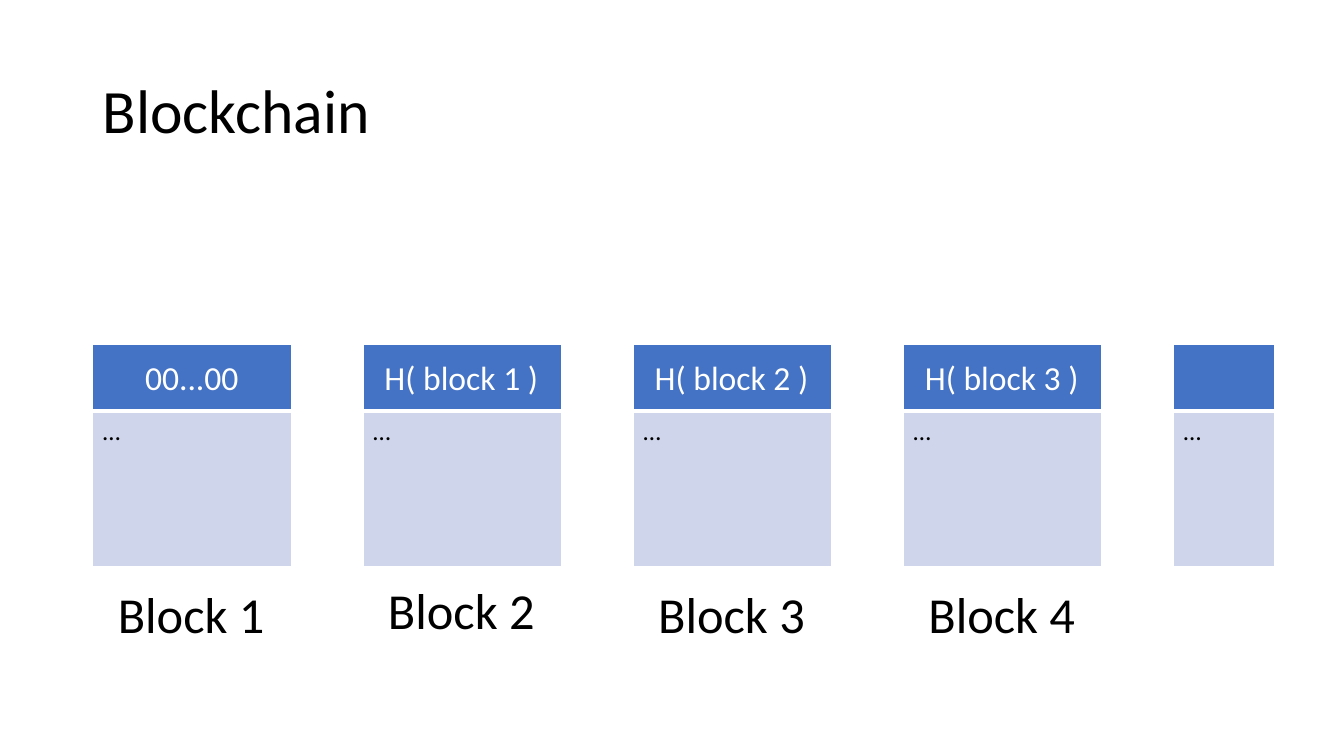
import dataclasses

import pptx
import pptx.dml.color
import pptx.enum.text
import pptx.oxml
import pptx.oxml.ns
import pptx.util

WIDE, HIGH = 13.33, 7.5
LEFT, STEP = 0.92, 2.68      # first column and column pitch
TOP, HEAD, BODY = 3.42, 0.66, 1.54
FULL, PART = 1.97, 1.0       # widths of whole and cut-off blocks
FONT = "Calibri"
BLACK, WHITE, BLUE, PALE = "000000", "FFFFFF", "4472C4", "CFD5EA"


@dataclasses.dataclass
class Block:
    """One block of the chain: hash text, label and their sizes."""
    hash: str = ""
    label: str = ""
    span: float = 1.74
    row: float = 5.74
    width: float = FULL


BLOCKS = [
    Block("00...00", "Block 1", span=1.13),
    Block("H( block 1 )", "Block 2", row=5.7),
    Block("H( block 2 )", "Block 3"),
    Block("H( block 3 )", "Block 4"),
    Block(width=PART),
]


def inch(size: float) -> int:
    """Turn inches into slide units."""
    return pptx.util.Inches(size)


def paint(fill, tone: str) -> None:
    """Give a fill one solid colour."""
    fill.solid()
    fill.fore_color.rgb = pptx.dml.color.RGBColor.from_string(tone)


def add_run(para, text: str, size: float, tone: str) -> None:
    """Add one styled run to a paragraph."""
    run = para.add_run()
    run.text = text
    run.font.name = FONT
    run.font.size = pptx.util.Pt(size)
    paint(run.font.fill, tone)


def add_text(slide, text: str, box: tuple, size: float, tone: str):
    """Add a one-line text box and return its frame."""
    frame = slide.shapes.add_textbox(*map(inch, box)).text_frame
    frame.word_wrap = False
    frame.auto_size = pptx.enum.text.MSO_AUTO_SIZE.SHAPE_TO_FIT_TEXT
    add_run(frame.paragraphs[0], text, size, tone)
    return frame


def add_title(slide, text: str) -> None:
    """Add the slide title, centred in its band."""
    frame = add_text(slide, text, (LEFT, 0.4, 11.5, 1.45), 44, BLACK)
    frame.word_wrap = True
    frame.auto_size = pptx.enum.text.MSO_AUTO_SIZE.NONE
    frame.vertical_anchor = pptx.enum.text.MSO_ANCHOR.MIDDLE
    frame.paragraphs[0].line_spacing = 0.9


def set_cell(cell, tone: str, **edges: float) -> None:
    """Give a cell white borders of the given widths, then a fill."""
    props = cell._tc.get_or_add_tcPr()
    space = pptx.oxml.ns.nsdecls("a")
    for side, width in edges.items():
        props.append(pptx.oxml.parse_xml(
            f'<a:ln{side} {space} w="{pptx.util.Pt(width)}"><a:solidFill>'
            f'<a:srgbClr val="{WHITE}"/></a:solidFill></a:ln{side}>'))
    paint(cell.fill, tone)


def add_block(slide, col: int, block: Block) -> None:
    """Draw one block table with its hash and label."""
    left = LEFT + col * STEP
    mid = left + block.width / 2
    table = slide.shapes.add_table(2, 1, *map(
        inch, (left, TOP, block.width, HEAD + BODY))).table
    table.first_row = table.horz_banding = False
    for row, size in zip(table.rows, (HEAD, BODY)):
        row.height = inch(size)
    head, body = table.cell(0, 0), table.cell(1, 0)
    set_cell(head, BLUE, L=1, R=1, T=1, B=3)
    set_cell(body, PALE, L=1, R=1, T=3, B=1)
    add_run(body.text_frame.paragraphs[0], "…", 18, BLACK)
    if block.hash:
        box = (mid - block.span / 2, 3.49, block.span, 0.5)
        add_text(slide, block.hash, box, 24, WHITE)
    if block.label:
        box = (mid - 1.67 / 2, block.row, 1.67, 0.71)
        add_text(slide, block.label, box, 36, BLACK)


def main() -> None:
    """Build and save the slide."""
    deck = pptx.Presentation()
    deck.slide_width, deck.slide_height = inch(WIDE), inch(HIGH)
    slide = deck.slides.add_slide(deck.slide_layouts[6])
    paint(slide.background.fill, WHITE)
    add_title(slide, "Blockchain")
    for col, block in enumerate(BLOCKS):
        add_block(slide, col, block)
    deck.save("out.pptx")


main()
